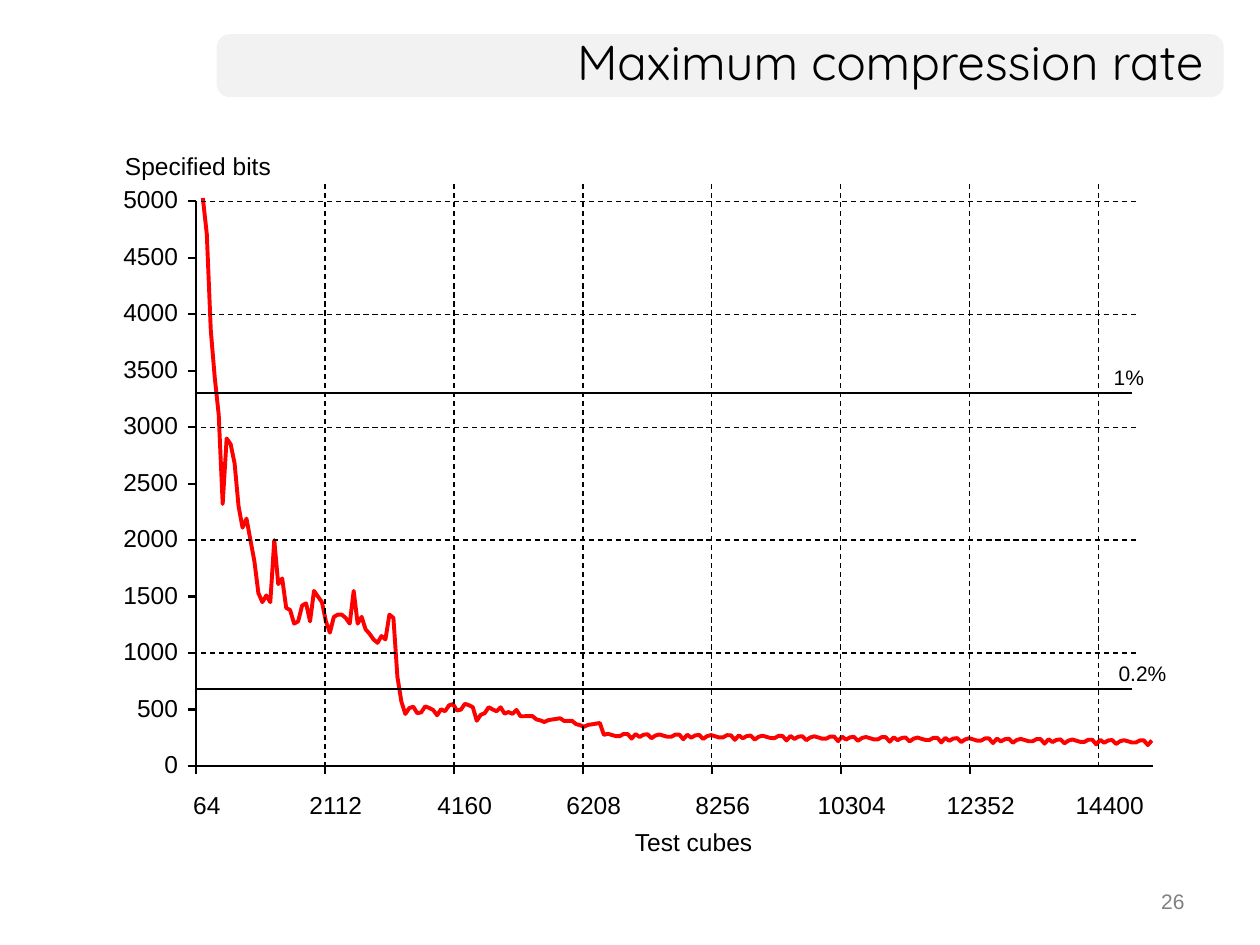
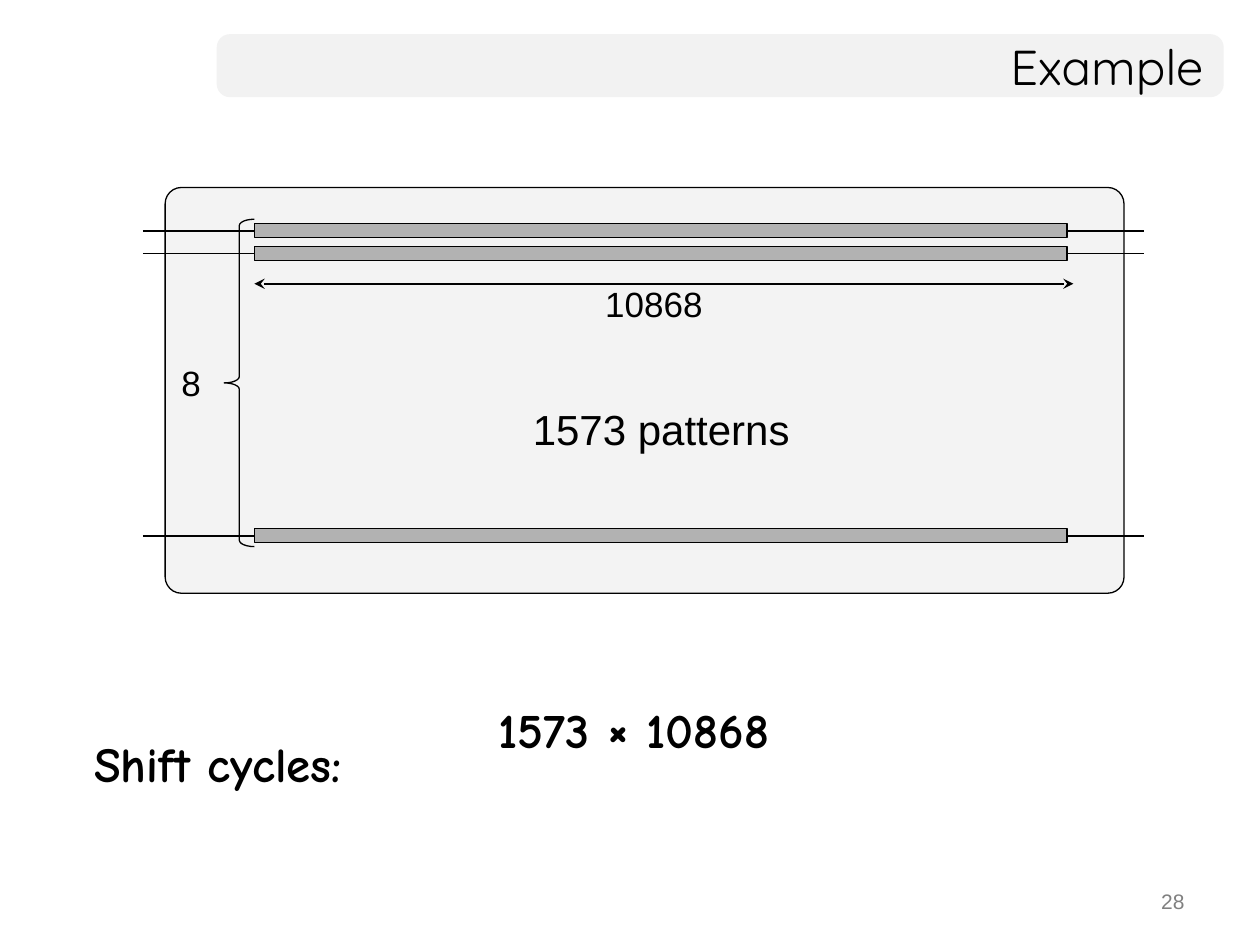
from itertools import cycle, islice
from lxml.etree import SubElement
from pptx import Presentation
from pptx.dml.color import RGBColor
from pptx.enum.dml import MSO_LINE
from pptx.enum.shapes import MSO_CONNECTOR, MSO_SHAPE as Preset
from pptx.enum.text import MSO_ANCHOR as Anchor, PP_ALIGN as Align
from pptx.oxml.ns import qn
from pptx.util import Cm, Pt

COLORS = {
    "text": "000000",
    "number": "808080",
    "band": "F2F2F2",
    "core": "EAEAEA",
    "chain": "B2B2B2",
    "trace": "FF0000",
}
RGB = {role: RGBColor.from_string(value) for role, value in COLORS.items()}
BAND_LEFT, BAND_TOP, BAND_HEIGHT = 4.37, 0.69, 1.27


def write(frame, *parts, size=14, font="Arial", color="text", bold=False,
          align=Align.LEFT, anchor=Anchor.TOP, wrap=True, inset=None, spacing=None):
    frame.word_wrap = wrap
    frame.vertical_anchor = anchor
    if inset is not None:
        frame.margin_left = frame.margin_right = Cm(inset)
        frame.margin_top = frame.margin_bottom = Cm(inset)
    paragraph = frame.paragraphs[0]
    paragraph.alignment = align
    paragraph.line_spacing = spacing
    for part in parts:
        words, points = part if isinstance(part, tuple) else (part, size)
        run = paragraph.add_run()
        run.text = words
        run.font.size = Pt(points)
        run.font.name = font
        run.font.bold = bold
        run.font.color.rgb = RGB[color]


def draw_line(slide, x1, y1, x2, y2, width, dashed=False, arrows=False):
    line = slide.shapes.add_connector(
        MSO_CONNECTOR.STRAIGHT, Cm(x1), Cm(y1), Cm(x2), Cm(y2))
    line.line.color.rgb = RGB["text"]
    line.line.width = Pt(width)
    if dashed:
        line.line.dash_style = MSO_LINE.DASH
    if arrows:
        for end in ("a:headEnd", "a:tailEnd"):
            SubElement(line.line._get_or_add_ln(), qn(end), type="stealth")
    SubElement(line.element.spPr, qn("a:effectLst"))


prs = Presentation()
prs.slide_width, prs.slide_height = Cm(25.4), Cm(19.05)
title_only = prs.slide_layouts[5]

slides = []
styled = []
for heading, number, spacing in [("Maximum compression rate", "26", 0.85),
                                 ("Example", "28", None)]:
    slide = prs.slides.add_slide(title_only)
    band = slide.shapes.add_shape(
        Preset.ROUNDED_RECTANGLE, Cm(BAND_LEFT), Cm(BAND_TOP), Cm(20.3), Cm(BAND_HEIGHT))
    band.adjustments[0] = 0.21
    styled.append((band, "band", None, 0))

    title = slide.shapes.title
    title.left, title.top = Cm(BAND_LEFT), Cm(BAND_TOP)
    title.width, title.height = Cm(20.14), Cm(BAND_HEIGHT)
    write(title.text_frame, heading, size=28, font="Quicksand",
          align=Align.RIGHT, anchor=Anchor.MIDDLE, spacing=spacing)
    band.element.addnext(title.element)

    page = slide.shapes.add_textbox(Cm(18.21), Cm(17.78), Cm(5.92), Cm(0.89))
    write(page.text_frame, number, size=12, color="number", align=Align.RIGHT)
    slides.append(slide)

rate, example = slides

AXIS_X, AXIS_Y = 3.95, 15.44
COLUMN, ROW = 2.6, 1.138
CUBES_PER_COLUMN, BITS_PER_ROW = 2048, 500
ROWS = 10
TICK = 0.17

draw_line(rate, AXIS_X, AXIS_Y - ROWS * ROW, AXIS_X, AXIS_Y, 1.25)
draw_line(rate, AXIS_X, AXIS_Y, 23.24, AXIS_Y, 1.25)

for row in range(ROWS + 1):
    y = AXIS_Y - row * ROW
    draw_line(rate, AXIS_X - TICK, y, AXIS_X, y, 1.25)
    bits_label = rate.shapes.add_textbox(Cm(2.39), Cm(y - 0.34), Cm(1.2), Cm(0.61))
    write(bits_label.text_frame, str(row * BITS_PER_ROW),
          align=Align.RIGHT, inset=0, wrap=False)

for column in range(8):
    x = AXIS_X + column * COLUMN
    if column < 7:
        draw_line(rate, x, AXIS_Y + TICK, x, AXIS_Y, 1.25)
    cubes_label = rate.shapes.add_textbox(Cm(x - 0.48), Cm(15.92), Cm(1.4), Cm(0.61))
    write(cubes_label.text_frame, str(64 + column * CUBES_PER_COLUMN),
          align=Align.CENTER, inset=0, wrap=False)

steep_drop = [5030, 4710, 3860, 3440, 3110, 2320, 2900, 2850,
              2680, 2300, 2110, 2190, 2000, 1810, 1530, 1450]
first_peaks = [1510, 1450, 2000, 1610, 1660, 1400, 1380, 1260,
               1280, 1420, 1440, 1280, 1550, 1500, 1450, 1280]
last_peaks = [1180, 1320, 1340, 1340, 1310, 1260, 1550, 1260, 1320,
              1210, 1170, 1120, 1090, 1150, 1120, 1340, 1310]
specified_bits = steep_drop + first_peaks + last_peaks

settling_phases = [
    ("cliff", 2, 790, 570, [0]),
    ("plateau", 18, 490, 530, [-30, 20, 30, -30, -25, 25, 10, -10, -60, -10]),
    ("dip", 4, 400, 500, [0, 20]),
    ("shoulder", 8, 500, 460, [0, -10, 30, -20]),
    ("slope", 20, 440, 360, [0, 5, 10, -15, -20, -30, -10, 0, 10, 20]),
    ("tail", 139, 275, 215, [0, 10, 0, -10, -10, 10, 10, -30, 10, -15, 5, 10, -25]),
]
for phase, samples, first, last, ripple in settling_phases:
    fall = (last - first) / (samples - 1)
    for sample, wobble in enumerate(islice(cycle(ripple), samples)):
        specified_bits.append(round(first + sample * fall + wobble))

sample_width = Cm(19.13) / (len(specified_bits) - 1)
bit_height = Cm(ROW) / BITS_PER_ROW
trace_points = [(sample, -bits) for sample, bits in enumerate(specified_bits)]
builder = rate.shapes.build_freeform(*trace_points[0], scale=(sample_width, bit_height))
builder.add_line_segments(trace_points[1:], close=False)
trace = builder.convert_to_shape(Cm(4.09), Cm(AXIS_Y))
styled.append((trace, None, "trace", 2.25))

for row in range(2, ROWS + 1, 2):
    y = AXIS_Y - row * ROW
    draw_line(rate, 4.05, y, 22.9, y, 0.75, dashed=True)
for column in range(1, 8):
    x = AXIS_X + column * COLUMN
    draw_line(rate, x, 3.71, x, 15.49, 0.75, dashed=True)

for share, y, left in [("1%", 7.92, 22.2), ("0.2%", 13.89, 22.3)]:
    draw_line(rate, AXIS_X, y, 22.83, y, 1.5)
    share_label = rate.shapes.add_textbox(Cm(left), Cm(y - 0.7), Cm(2), Cm(0.91))
    write(share_label.text_frame, share, size=12)

for axis_name, left, top, width in [("Test cubes", 12.55, 16.54, 2.9),
                                    ("Specified bits", 2.27, 2.92, 3.48)]:
    axis_title = rate.shapes.add_textbox(Cm(left), Cm(top), Cm(width), Cm(0.86))
    write(axis_title.text_frame, axis_name, anchor=Anchor.MIDDLE, wrap=False)

for parts, left, top, width, height in [
        (["Shift cycles:"], 1.65, 14.66, 6.81, 1.45),
        (["1573 ", ("×", 32), " 10868"], 9.8, 13.82, 7.49, 1.63)]:
    formula = example.shapes.add_textbox(Cm(left), Cm(top), Cm(width), Cm(height))
    write(formula.text_frame, *parts, size=28, font="Comic Neue", bold=True,
          anchor=Anchor.MIDDLE)

CHAIN_LEFT, CHAIN_LENGTH, CHAIN_HEIGHT = 5.13, 16.38, 0.28
WIRE_LEFT, WIRE_RIGHT = 2.88, 23.07
BRACE_WIDTH = 0.61

core = example.shapes.add_shape(
    Preset.ROUNDED_RECTANGLE, Cm(3.33), Cm(3.78), Cm(19.33), Cm(8.18))
core.adjustments[0] = 0.04
styled.append((core, "core", "text", 0.75))

draw_line(example, CHAIN_LEFT, 5.72, 21.64, 5.72, 0.88, arrows=True)
for words, size, left, top, width, height in [
        ("1573 patterns", 24, 10.46, 8, 5.74, 1.27),
        ("10868", 20, 11.94, 5.58, 2.49, 1.12),
        ("8", 20, 3.4, 7.16, 0.91, 1.12)]:
    core_label = example.shapes.add_textbox(Cm(left), Cm(top), Cm(width), Cm(height))
    write(core_label.text_frame, words, size=size, align=Align.CENTER, wrap=False)

for y in (4.65, 5.11, 10.8):
    draw_line(example, WIRE_LEFT, y, WIRE_RIGHT, y, 1)
    chain = example.shapes.add_shape(
        Preset.RECTANGLE, Cm(CHAIN_LEFT), Cm(y - CHAIN_HEIGHT / 2),
        Cm(CHAIN_LENGTH), Cm(CHAIN_HEIGHT))
    styled.append((chain, "chain", "text", 0.75))

brace = example.shapes.add_shape(
    Preset.LEFT_BRACE, Cm(CHAIN_LEFT - BRACE_WIDTH), Cm(4.42), Cm(BRACE_WIDTH), Cm(6.6))
brace.adjustments[0] = 0.21
styled.append((brace, None, "text", 0.75))

for part, fill, outline, width in styled:
    part.shadow.inherit = False
    if fill:
        part.fill.solid()
        part.fill.fore_color.rgb = RGB[fill]
    else:
        part.fill.background()
    if outline:
        part.line.color.rgb = RGB[outline]
        part.line.width = Pt(width)
    else:
        part.line.fill.background()

core_color = core.element.spPr.find(qn("a:solidFill")).find(qn("a:srgbClr"))
SubElement(core_color, qn("a:alpha"), val="55000")

prs.save("out.pptx")
